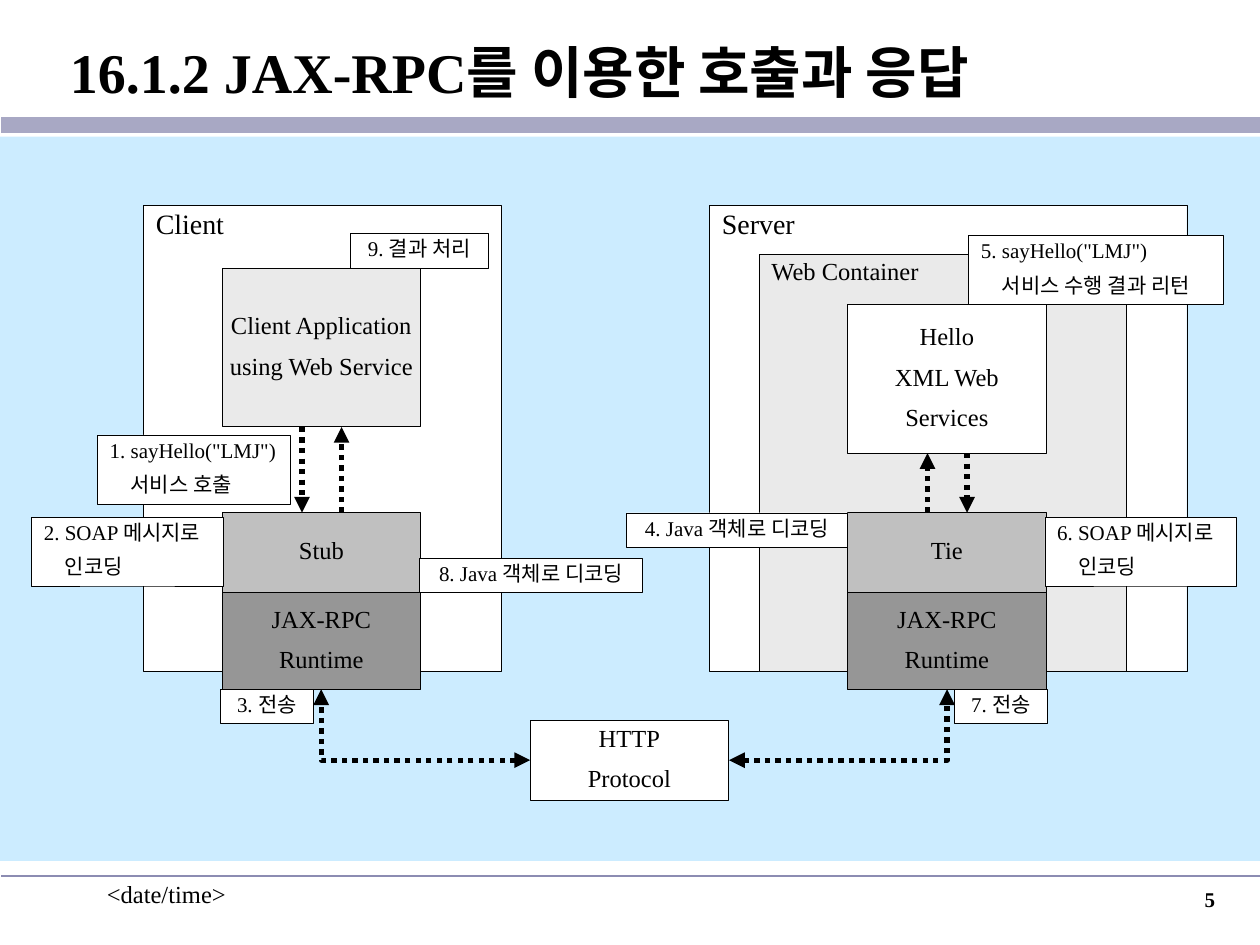
"""Build the slide on a call and its answer through JAX-RPC."""
from dataclasses import dataclass

import lxml.etree
import pptx
import pptx.dml.color
import pptx.enum.dml
import pptx.enum.shapes
import pptx.enum.text
import pptx.oxml.ns
import pptx.util

Pt = pptx.util.Pt
qn = pptx.oxml.ns.qn
Align = pptx.enum.text.PP_ALIGN
Anchor = pptx.enum.text.MSO_ANCHOR
Link = pptx.enum.shapes.MSO_CONNECTOR


@dataclass(frozen=True)
class Theme:
    font: str = "Times New Roman"
    ink: str = "000000"
    white: str = "FFFFFF"
    sky: str = "CCECFF"
    pale: str = "EAEAEA"
    mid: str = "C0C0C0"
    dark: str = "969696"
    bar: str = "A8A8C4"
    rule: str = "8C8CB2"
    title: float = 32
    frame: float = 16
    block: float = 14
    label: float = 12


@dataclass(frozen=True)
class Box:
    left: float
    top: float
    width: float
    height: float
    lines: tuple[str, ...]
    fill: str
    size: float
    center: bool = False
    middle: bool = False
    indent: float = 0


@dataclass(frozen=True)
class Arrow:
    start: tuple[float, float]
    end: tuple[float, float]
    bent: bool = False


THEME = Theme()


def color(code: str) -> pptx.dml.color.RGBColor:
    """Turn a hex code into a colour."""
    return pptx.dml.color.RGBColor.from_string(code)


def write(para, text: str, size: float, bold: bool = False) -> None:
    """Add one styled run to a paragraph."""
    run = para.add_run()
    run.text = text
    run.font.name = THEME.font
    run.font.size = Pt(size)
    run.font.bold = bold
    run.font.color.rgb = color(THEME.ink)


def panel(slide, left: float, top: float, width: float, height: float, fill: str):
    """Draw a plain filled rectangle."""
    shape = slide.shapes.add_shape(
        pptx.enum.shapes.MSO_SHAPE.RECTANGLE, Pt(left), Pt(top), Pt(width), Pt(height))
    shape.shadow.inherit = False
    shape.fill.solid()
    shape.fill.fore_color.rgb = color(fill)
    shape.line.fill.background()
    return shape


def draw(slide, box: Box) -> None:
    """Draw an outlined box with its lines of text."""
    shape = panel(slide, box.left, box.top, box.width, box.height, box.fill)
    shape.line.color.rgb = color(THEME.ink)
    shape.line.width = Pt(0.25)
    frame = shape.text_frame
    frame.word_wrap = False
    frame.vertical_anchor = Anchor.MIDDLE if box.middle else Anchor.TOP
    for row, text in enumerate(box.lines):
        para = frame.add_paragraph() if row else frame.paragraphs[0]
        para.alignment = Align.CENTER if box.center else Align.LEFT
        para.line_spacing = 0.85
        if row:
            para.space_before = Pt(round(box.size * 0.625, 1))
            if box.indent:
                para._p.get_or_add_pPr().set("marL", str(Pt(box.indent)))
        write(para, text, box.size)


def stroke(slide, kind, start: tuple, end: tuple, code: str, width: float):
    """Draw a connector without a shadow."""
    line = slide.shapes.add_connector(kind, *(Pt(v) for v in start + end))
    line.line.color.rgb = color(code)
    line.line.width = Pt(width)
    lxml.etree.SubElement(line.element.spPr, qn("a:effectLst"))
    return line


def point(slide, arrow: Arrow) -> None:
    """Draw a dotted arrow, with two heads when it is bent."""
    kind = Link.ELBOW if arrow.bent else Link.STRAIGHT
    line = stroke(slide, kind, arrow.start, arrow.end, THEME.ink, 3)
    line.line.dash_style = pptx.enum.dml.MSO_LINE.ROUND_DOT
    props = line.element.spPr
    if arrow.bent:
        props.find(qn("a:prstGeom")).set("prst", "bentConnector2")
    for tag in ("a:headEnd", "a:tailEnd") if arrow.bent else ("a:tailEnd",):
        lxml.etree.SubElement(props.find(qn("a:ln")), qn(tag), type="triangle")


def note(slide, left: float, top: float, text: str, size: float, align, bold: bool) -> None:
    """Write a footer text."""
    frame = slide.shapes.add_textbox(Pt(left), Pt(top), Pt(150), Pt(36)).text_frame
    frame.word_wrap = True
    frame.paragraphs[0].alignment = align
    write(frame.paragraphs[0], text, size, bold)


def head(slide, text: str) -> None:
    """Place and fill the title."""
    title = slide.shapes.title
    title.left, title.top, title.width, title.height = Pt(0.7), Pt(8), Pt(719.3), Pt(65)
    frame = title.text_frame
    frame.auto_size = pptx.enum.text.MSO_AUTO_SIZE.NONE
    frame.word_wrap = True
    frame.vertical_anchor = Anchor.MIDDLE
    frame.margin_left = Pt(39.2)
    frame.paragraphs[0].alignment = Align.LEFT
    write(frame.paragraphs[0], text, THEME.title, True)


def frame(left: float, top: float, width: float, text: str, fill: str, size: float) -> Box:
    """Describe a frame that reaches down to the common base."""
    return Box(left, top, width, 383.8 - top, (text,), fill, size)


def block(left: float, top: float, height: float, fill: str, *lines: str) -> Box:
    """Describe a centred block of the common width."""
    return Box(left, top, 113.3, height, lines, fill, THEME.block, True, True)


def label(left: float, top: float, width: float, *lines: str) -> Box:
    """Describe a step label, centred when it has one line."""
    single = len(lines) == 1
    return Box(left, top, width, 19.6 if single else 39.4, lines, THEME.white,
               THEME.label, center=single, indent=12)


def main() -> None:
    """Build and save the slide."""
    deck = pptx.Presentation()
    deck.slide_width, deck.slide_height = Pt(720), Pt(540)
    slide = deck.slides.add_slide(deck.slide_layouts[5])
    head(slide, "16.1.2 JAX-RPC를 이용한 호출과 응답")
    stroke(slide, Link.STRAIGHT, (0.7, 71.4), (720, 71.4), THEME.bar, 9.25)
    stroke(slide, Link.STRAIGHT, (0.7, 500.4), (720, 500.4), THEME.rule, 1)
    panel(slide, 0, 78, 720, 414, THEME.sky)

    near, far, mid = 127, 484.4, 303
    stub, base, foot = 293, 338.4, 393.9
    boxes = [
        frame(405.5, 117.4, 272.7, "Server", THEME.white, THEME.frame),
        frame(433.7, 145.3, 209.8, "Web Container", THEME.pale, THEME.block),
        frame(82, 117.4, 204.6, "Client", THEME.white, THEME.frame),
        block(near, 153.3, 90.5, THEME.pale, "Client Application", "using Web Service"),
        block(far, 173.9, 85.1, THEME.white, "Hello", "XML Web", "Services"),
        block(mid, 411.7, 45.5, THEME.white, "HTTP", "Protocol"),
    ]
    for left, name in ((near, "Stub"), (far, "Tie")):
        boxes += [
            block(left, stub, base - stub, THEME.mid, name),
            block(left, base, foot - base, THEME.dark, "JAX-RPC", "Runtime"),
        ]
    boxes += [
        label(55.6, 248.6, 110, '1. sayHello("LMJ")', "서비스 호출"),
        label(18, 295.5, 109.5, "2. SOAP 메시지로", "인코딩"),
        label(126, foot, 53, "3. 전송"),
        label(358, stub, 126.4, "4. Java 객체로 디코딩"),
        label(553.5, 134.6, 145.3, '5. sayHello("LMJ")', "서비스 수행 결과 리턴"),
        label(597, 295.5, 109.5, "6. SOAP 메시지로", "인코딩"),
        label(545.5, foot, 53, "7. 전송"),
        label(239.8, 318.9, 127.4, "8. Java 객체로 디코딩"),
        label(200.1, 133.5, 79.1, "9. 결과 처리"),
    ]
    for box in boxes:
        draw(slide, box)

    arrows = [
        Arrow((172.6, 244), (172.6, stub)),
        Arrow((195.2, stub), (195.2, 244)),
        Arrow((530, stub), (530, 259)),
        Arrow((552.6, 259), (552.6, stub)),
        Arrow((mid, 434.4), (183.6, foot), True),
        Arrow((mid + 113.6, 434.4), (541.2, foot), True),
    ]
    for arrow in arrows:
        point(slide, arrow)

    note(slide, 54, 499, "<date/time>", THEME.block, Align.LEFT, False)
    note(slide, 551.5, 503.3, "5", THEME.label, Align.RIGHT, True)
    deck.save("out.pptx")


if __name__ == "__main__":
    main()
